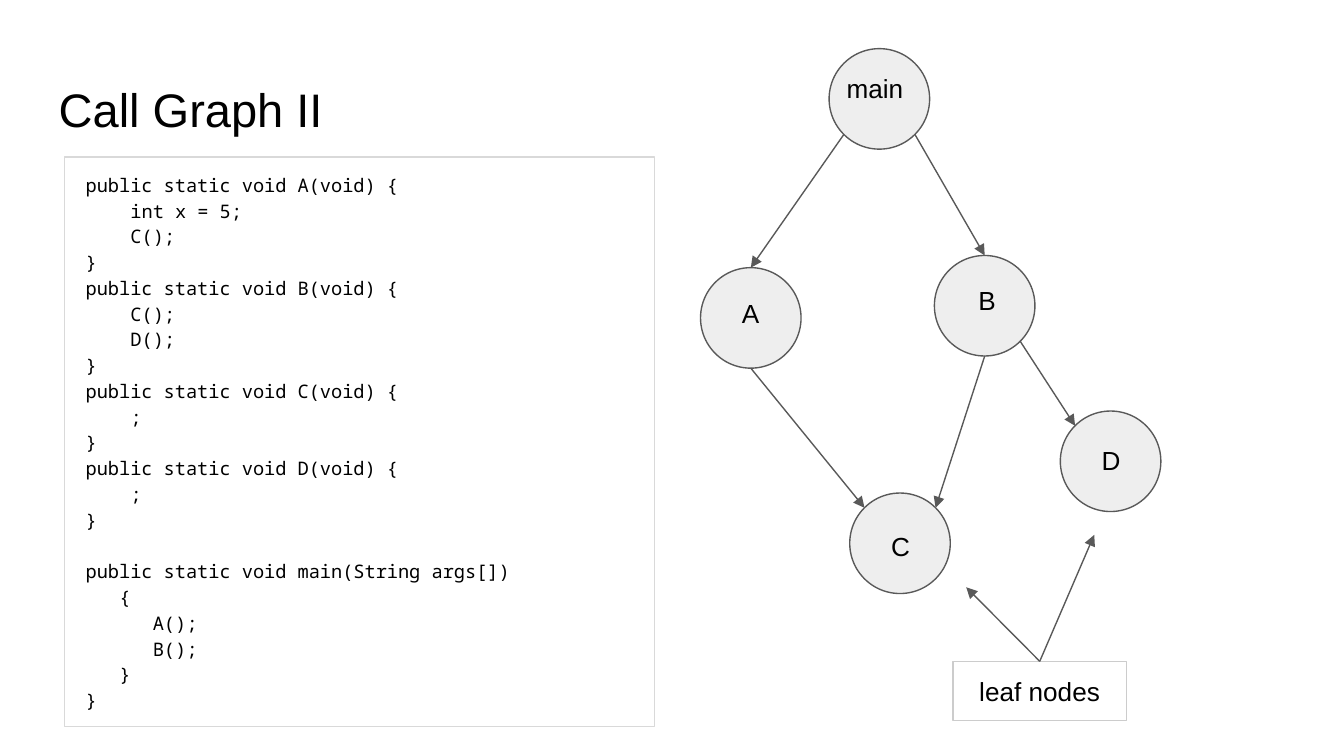
from dataclasses import dataclass
from math import cos, radians, sin

from lxml import etree
from pptx import Presentation
from pptx import util as u
from pptx.dml.color import RGBColor
from pptx.enum import shapes, text as t
from pptx.oxml import ns


@dataclass(frozen=True)
class Theme:
    sans: str = "Arial"
    mono: str = "Noto Sans Mono"
    ink: str = "000000"
    stroke: str = "595959"
    node_fill: str = "EEEEEE"
    code_border: str = "D9D9D9"
    leaf_border: str = "CCCCCC"
    title_size: float = 25.2
    label_size: float = 14
    code_size: float = 10
    code_column: float = 6
    code_gap: float = 13.8
    line_width: float = 0.75


THEME = Theme()
DIAMETER = 1.9
INSET = 0.25
CODE_INDENT = 0.15
TOP, BOTTOM = 90, 270
TOP_LEFT, TOP_RIGHT, BOTTOM_LEFT, BOTTOM_RIGHT = 135, 45, 225, 315

NODES = {
    "main": ((16.62, 1.87), (15.75, 1.12)),
    "A": ((14.19, 6.01), (13.77, 5.38)),
    "B": ((18.61, 5.78), (18.24, 5.13)),
    "C": ((17.01, 10.27), (16.59, 9.78)),
    "D": ((20.99, 8.72), (20.57, 8.15)),
}
CALLS = [
    ("main", BOTTOM_LEFT, "A", TOP),
    ("main", BOTTOM_RIGHT, "B", TOP),
    ("A", BOTTOM, "C", TOP_LEFT),
    ("B", BOTTOM, "C", TOP_RIGHT),
    ("B", BOTTOM_RIGHT, "D", TOP_LEFT),
]
LEAF_TIPS = [(18.26, 11.1), (20.68, 10.11)]
METHODS = {"A": ["int x = 5;", "C();"], "B": ["C();", "D();"], "C": [";"], "D": [";"]}


def code_lines():
    for name, body in METHODS.items():
        yield 0, f"public static void {name}(void) {{"
        yield from ((4, line) for line in body)
        yield 0, "}"
    yield 0, "public static void main(String args[])"
    yield from [(3, "{"), (6, "A();"), (6, "B();"), (3, "}"), (0, "}")]


def write(paragraph, text, font=THEME.sans, size=THEME.label_size,
          align=t.PP_ALIGN.LEFT, line_spacing=1.0, before=0, indent=0):
    paragraph.alignment = align
    paragraph.line_spacing = line_spacing
    paragraph.space_before = u.Pt(before)
    if indent:
        properties = paragraph._p.get_or_add_pPr()
        properties.set("marL", str(int(indent)))
        properties.set("indent", "0")
    run = paragraph.add_run()
    run.text = text
    run.font.name = font
    run.font.size = u.Pt(size)
    run.font.color.rgb = RGBColor.from_string(THEME.ink)


def prepare_frame(shape, anchor=t.MSO_ANCHOR.TOP):
    frame = shape.text_frame
    frame.word_wrap = True
    frame.vertical_anchor = anchor
    frame.margin_left = frame.margin_right = u.Cm(INSET)
    frame.margin_top = frame.margin_bottom = u.Cm(INSET)
    return frame


def add_text(slide, box, text, anchor=t.MSO_ANCHOR.TOP, **style):
    shape = slide.shapes.add_textbox(*map(u.Cm, box))
    write(prepare_frame(shape, anchor).paragraphs[0], text, **style)


def add_outline(slide, kind, box, border, fill=None):
    shape = slide.shapes.add_shape(kind, *map(u.Cm, box))
    shape.shadow.inherit = False
    if fill:
        shape.fill.solid()
        shape.fill.fore_color.rgb = RGBColor.from_string(fill)
    else:
        shape.fill.background()
    shape.line.color.rgb = RGBColor.from_string(border)
    shape.line.width = u.Pt(THEME.line_width)
    return shape


def add_node(slide, center):
    x, y = center
    box = (x - DIAMETER / 2, y - DIAMETER / 2, DIAMETER, DIAMETER)
    add_outline(slide, shapes.MSO_SHAPE.OVAL, box, THEME.stroke, THEME.node_fill)


def rim_point(name, degrees):
    x, y = NODES[name][0]
    angle = radians(degrees)
    return x + DIAMETER / 2 * cos(angle), y - DIAMETER / 2 * sin(angle)


def add_arrow(slide, start, end):
    connector = slide.shapes.add_connector(
        shapes.MSO_CONNECTOR.STRAIGHT, *map(u.Cm, (*start, *end)))
    connector.line.color.rgb = RGBColor.from_string(THEME.stroke)
    connector.line.width = u.Pt(THEME.line_width)
    line = connector.line._get_or_add_ln()
    etree.SubElement(line, ns.qn("a:tailEnd"), type="triangle")
    etree.SubElement(connector._element.spPr, ns.qn("a:effectLst"))
    return connector


def add_code(slide, box):
    shape = add_outline(slide, shapes.MSO_SHAPE.RECTANGLE, box, THEME.code_border)
    frame = prepare_frame(shape)
    for index, (columns, line) in enumerate(code_lines()):
        paragraph = frame.add_paragraph() if index else frame.paragraphs[0]
        write(paragraph, line, font=THEME.mono, size=THEME.code_size,
              line_spacing=1.15, before=THEME.code_gap if "main" in line else 0,
              indent=u.Cm(CODE_INDENT) + u.Pt(columns * THEME.code_column))


def add_leaf_note(slide, box):
    shape = add_outline(slide, shapes.MSO_SHAPE.RECTANGLE, box, THEME.leaf_border)
    frame = prepare_frame(shape, t.MSO_ANCHOR.MIDDLE)
    write(frame.paragraphs[0], "leaf nodes", align=t.PP_ALIGN.CENTER)
    left, top, width, _ = box
    for tip in LEAF_TIPS:
        arrow = add_arrow(slide, (left + width / 2, top), tip)
        arrow.begin_connect(shape, 0)


def add_call_graph(slide):
    for center, _ in NODES.values():
        add_node(slide, center)
    for caller, leave, callee, enter in CALLS:
        add_arrow(slide, rim_point(caller, leave), rim_point(callee, enter))
    for name, (_, corner) in NODES.items():
        add_text(slide, (*corner, 1.78, 1.12), name)


def main():
    presentation = Presentation()
    presentation.slide_width = u.Cm(25.4)
    presentation.slide_height = u.Cm(14.29)
    slide = presentation.slides.add_slide(presentation.slide_layouts[6])
    add_text(slide, (0.86, 1.24, 23.67, 1.6), "Call Graph II",
             anchor=t.MSO_ANCHOR.BOTTOM, size=THEME.title_size)
    add_code(slide, (1.22, 2.97, 11.15, 10.77))
    add_call_graph(slide)
    add_leaf_note(slide, (18.01, 12.5, 3.28, 1.12))
    presentation.save("out.pptx")


if __name__ == "__main__":
    main()
